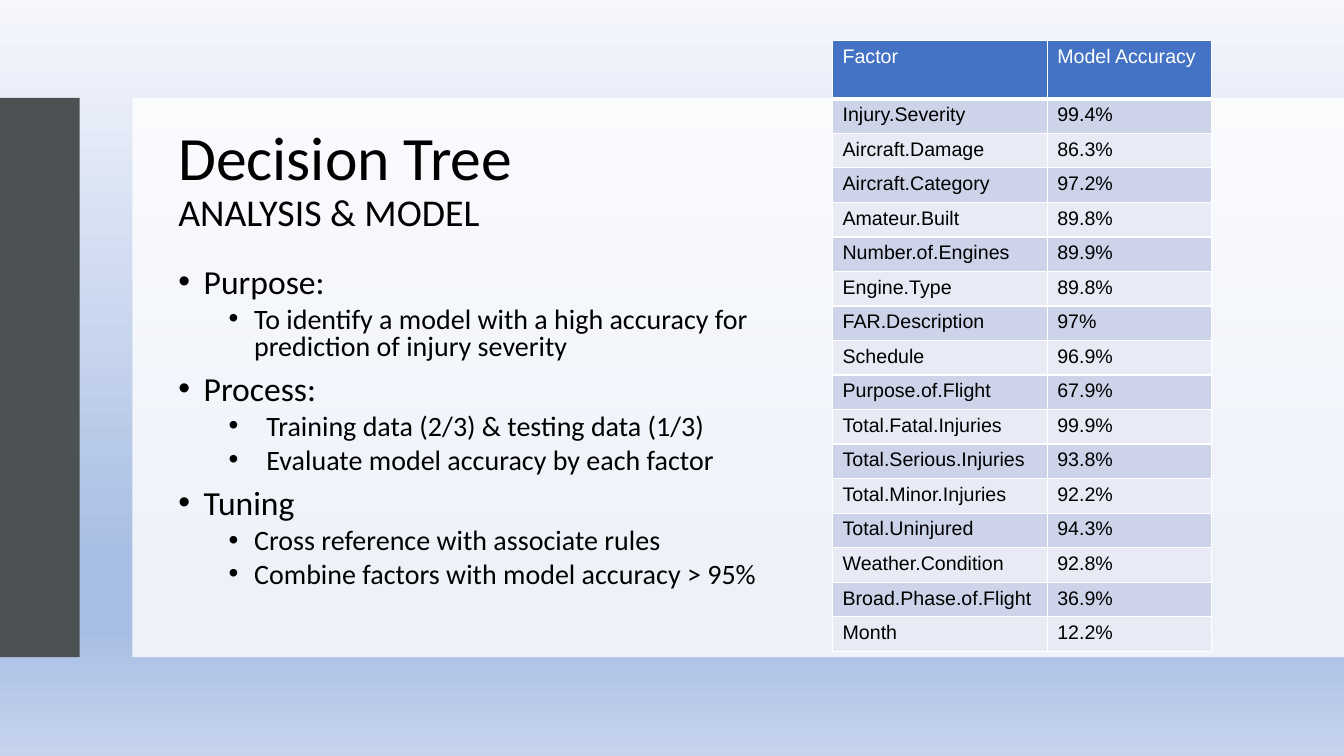
from dataclasses import dataclass

from lxml import etree
from pptx import Presentation
from pptx.dml.color import RGBColor
from pptx.enum.shapes import MSO_SHAPE
from pptx.enum.text import MSO_ANCHOR, MSO_AUTO_SIZE, PP_ALIGN
from pptx.oxml.ns import qn
from pptx.util import Cm, Pt

RECTANGLE = MSO_SHAPE.RECTANGLE
TOP, MIDDLE = MSO_ANCHOR.TOP, MSO_ANCHOR.MIDDLE
NO_AUTOFIT = MSO_AUTO_SIZE.NONE
LEFT = PP_ALIGN.LEFT


@dataclass(frozen=True)
class Theme:
    text_font: str = "Calibri"
    table_font: str = "Arial"
    ink: str = "000000"
    white: str = "FFFFFF"
    sidebar: str = "4C5254"
    header: str = "4472C4"
    bands: tuple = ("CDD4EA", "E8EBF5")
    sky: tuple = ((0, "F5F7FC"), (74, "A9BEE4"), (83, "A9BEE4"), (100, "C5D3ED"))
    title_size: int = 44
    subtitle_size: int = 27
    topic_size: int = 24
    detail_size: int = 20
    table_size: int = 14


# Content: outline entries are (level, left margin in cm, hanging indent in cm, text)
TITLE, SUBTITLE = "Decision Tree", "ANALYSIS & MODEL"
OUTLINE = [
    (0, 0.64, 0.64, "Purpose:"),
    (1, 1.91, 0.64, "To identify a model with a high accuracy for prediction of injury severity"),
    (0, 0.64, 0.64, "Process:"),
    (1, 2.22, 0.95, "Training data (2/3) & testing data (1/3)"),
    (1, 2.22, 0.95, "Evaluate model accuracy by each factor"),
    (0, 0.64, 0.64, "Tuning"),
    (1, 1.91, 0.64, "Cross reference with associate rules"),
    (1, 1.91, 0.64, "Combine factors with model accuracy > 95%"),
]
ACCURACIES = [
    ("Factor", "Model Accuracy"),
    ("Injury.Severity", "99.4%"),
    ("Aircraft.Damage", "86.3%"),
    ("Aircraft.Category", "97.2%"),
    ("Amateur.Built", "89.8%"),
    ("Number.of.Engines", "89.9%"),
    ("Engine.Type", "89.8%"),
    ("FAR.Description", "97%"),
    ("Schedule", "96.9%"),
    ("Purpose.of.Flight", "67.9%"),
    ("Total.Fatal.Injuries", "99.9%"),
    ("Total.Serious.Injuries", "93.8%"),
    ("Total.Minor.Injuries", "92.2%"),
    ("Total.Uninjured", "94.3%"),
    ("Weather.Condition", "92.8%"),
    ("Broad.Phase.of.Flight", "36.9%"),
    ("Month", "12.2%"),
]


def set_all(target, values):
    for name, value in values.items():
        setattr(target, name, value)


def add_color(parent, color):
    return etree.SubElement(parent, qn("a:srgbClr"), val=color)


class SlideBuilder:
    def __init__(self, slide, theme):
        self.slide = slide
        self.theme = theme

    def add_run(self, paragraph, text, size, font, color):
        run = paragraph.add_run()
        run.text = text
        set_all(run.font, {"size": Pt(size), "name": font})
        run.font.color.rgb = RGBColor.from_string(color)

    def panel(self, left, top, width, height, color, opacity=100):
        panel = self.slide.shapes.add_shape(
            RECTANGLE, Cm(left), Cm(top), Cm(width), Cm(height))
        panel.shadow.inherit = False
        panel.line.fill.background()
        panel.fill.solid()
        panel.fill.fore_color.rgb = RGBColor.from_string(color)
        if opacity < 100:
            fill_color = panel.element.spPr.find(qn("a:solidFill"))[0]
            etree.SubElement(fill_color, qn("a:alpha"), val=str(opacity * 1000))
        return panel

    def gradient(self, panel, stops):
        panel.fill.gradient()
        panel.fill.gradient_angle = 270
        stop_list = panel.element.spPr.find(qn("a:gradFill")).find(qn("a:gsLst"))
        for old_stop in list(stop_list):
            stop_list.remove(old_stop)
        for position, color in stops:
            add_color(etree.SubElement(stop_list, qn("a:gs"), pos=str(position * 1000)), color)

    def place(self, placeholder, left, top, width, height, anchor):
        """Move a placeholder to its position and to the front."""
        set_all(placeholder, {"left": Cm(left), "top": Cm(top),
                              "width": Cm(width), "height": Cm(height)})
        set_all(placeholder.text_frame, {"word_wrap": True, "auto_size": NO_AUTOFIT,
                                         "vertical_anchor": anchor})
        placeholder.element.getparent().append(placeholder.element)
        return placeholder.text_frame

    def title(self, title, subtitle, *box):
        theme = self.theme
        heading = self.place(self.slide.shapes.title, *box, MIDDLE).paragraphs[0]
        set_all(heading, {"alignment": LEFT, "line_spacing": 0.9})
        self.add_run(heading, title, theme.title_size, theme.text_font, theme.ink)
        heading.add_line_break()
        self.add_run(heading, subtitle, theme.subtitle_size, theme.text_font, theme.ink)

    def outline(self, entries, *box):
        theme = self.theme
        frame = self.place(self.slide.placeholders[1], *box, TOP)
        sizes, gaps = (theme.topic_size, theme.detail_size), (10, 5)
        for index, (level, margin, hanging, text) in enumerate(entries):
            entry = frame.add_paragraph() if index else frame.paragraphs[0]
            set_all(entry, {"level": level, "alignment": LEFT, "line_spacing": 0.8,
                            "space_before": Pt(gaps[level] if index else 0)})
            properties = entry._p.get_or_add_pPr()
            properties.set("marL", str(Cm(margin)))
            properties.set("indent", str(-Cm(hanging)))
            add_color(etree.SubElement(properties, qn("a:buClr")), theme.ink)
            etree.SubElement(properties, qn("a:buFont"), typeface=theme.table_font)
            etree.SubElement(properties, qn("a:buChar"), char="•")
            self.add_run(entry, text, sizes[level], theme.text_font, theme.ink)

    def borders(self, cell, widths):
        properties = cell._tc.get_or_add_tcPr()
        for index, (side, width) in enumerate(widths.items()):
            border = etree.Element(qn(f"a:{side}"), w=str(Pt(width)))
            add_color(etree.SubElement(border, qn("a:solidFill")), self.theme.white)
            properties.insert(index, border)

    def table(self, rows, left, top, column_widths, header_height, row_height):
        theme = self.theme
        height = header_height + row_height * (len(rows) - 1)
        table = self.slide.shapes.add_table(
            len(rows), len(column_widths), Cm(left), Cm(top),
            Cm(sum(column_widths)), Cm(height)).table
        for column, width in zip(table.columns, column_widths):
            column.width = Cm(width)
        for index, texts in enumerate(rows):
            is_header = index == 0
            table.rows[index].height = Cm(header_height if is_header else row_height)
            fill = theme.header if is_header else theme.bands[(index - 1) % 2]
            ink = theme.white if is_header else theme.ink
            widths = {"lnL": 1, "lnR": 1, "lnT": 3 if index == 1 else 1,
                      "lnB": 3 if is_header else 1}
            for cell, text in zip(table.rows[index].cells, texts):
                cell.fill.solid()
                cell.fill.fore_color.rgb = RGBColor.from_string(fill)
                self.borders(cell, widths)
                self.add_run(cell.text_frame.paragraphs[0], text,
                             theme.table_size, theme.table_font, ink)


def main():
    deck = Presentation()
    set_all(deck, {"slide_width": Cm(33.87), "slide_height": Cm(19.05)})
    theme = Theme()
    builder = SlideBuilder(deck.slides.add_slide(deck.slide_layouts[1]), theme)

    # Backdrop, sidebar and content panel
    backdrop = builder.panel(0, 0, 33.87, 19.05, theme.white)
    builder.gradient(backdrop, theme.sky)
    builder.panel(0, 2.47, 2.01, 14.09, theme.sidebar)
    builder.panel(3.34, 2.47, 30.53, 14.09, theme.white, opacity=80)

    # Accuracy table
    builder.table(ACCURACIES, 20.98, 1.02, (5.41, 4.14), 1.47, 0.87)

    # Title and outline
    builder.title(TITLE, SUBTITLE, 4.24, 2.92, 15.39, 3.28)
    builder.outline(OUTLINE, 4.24, 6.65, 15.39, 9.45)

    deck.save("out.pptx")


if __name__ == "__main__":
    main()
